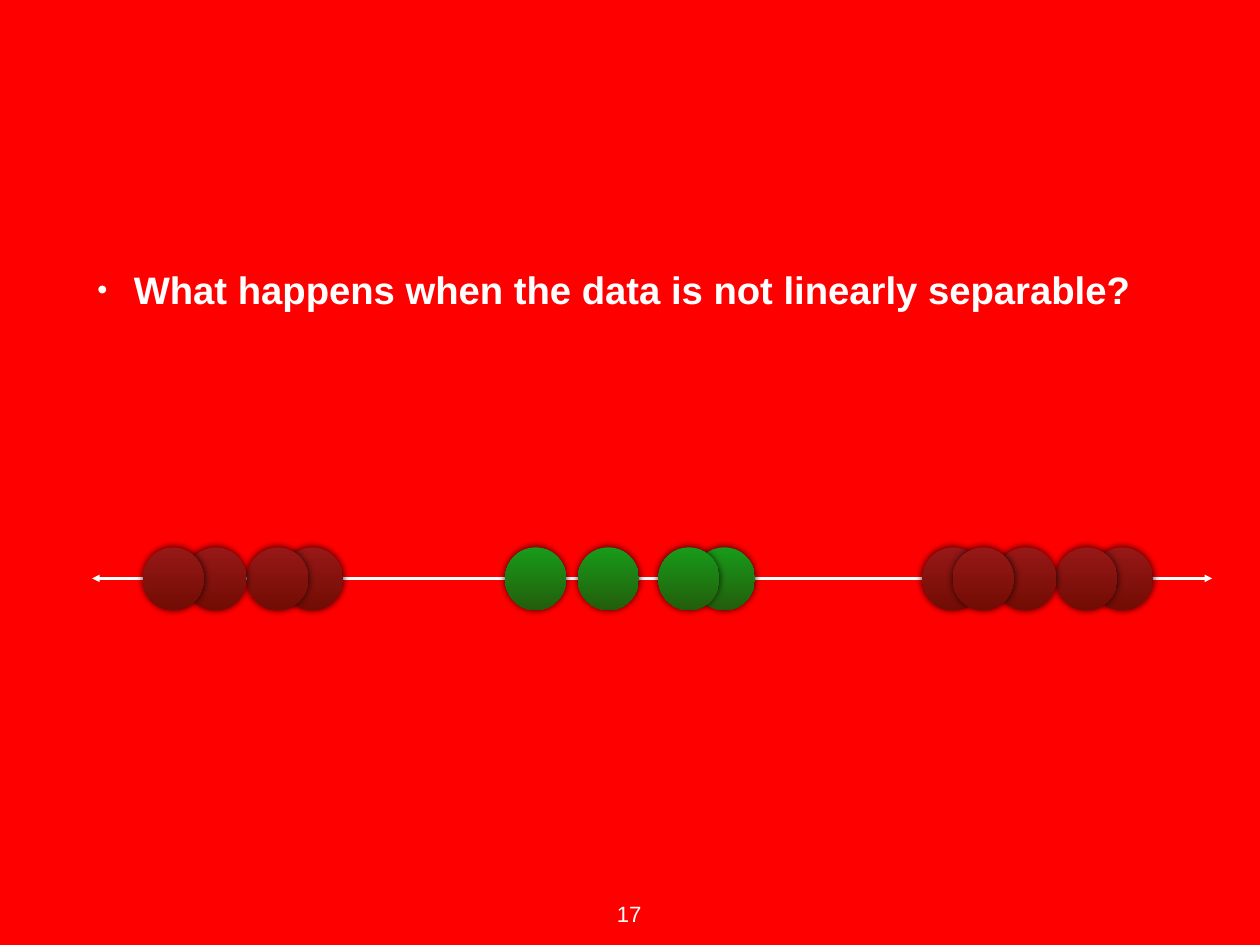
from lxml import etree
from pptx import Presentation
from pptx import util as u
from pptx.dml import color
from pptx.enum import shapes, text
from pptx.oxml import ns


def rgb(value):
    return color.RGBColor.from_string(value)


def add(parent, tag, **attrs):
    return etree.SubElement(parent, ns.qn(tag), attrs)


prs = Presentation()
prs.slide_width, prs.slide_height = u.Inches(14.22), u.Inches(10.67)
s = prs.slides.add_slide(prs.slide_layouts[1])
s.background.fill.solid()
s.background.fill.fore_color.rgb = rgb("FF0000")

title = s.shapes.title
title.element.getparent().remove(title.element)

body = s.placeholders[1]
body.left, body.top = u.Inches(1.04), u.Inches(2.83)
body.width, body.height = u.Inches(12.63), u.Inches(0.87)

axis = s.shapes.add_connector(shapes.MSO_CONNECTOR.STRAIGHT, u.Inches(1.04), u.Inches(6.53),
                              u.Inches(13.68), u.Inches(6.53))
axis.line.color.rgb = rgb("FFFFFF")
axis.line.width = u.Pt(2)
ln = axis.line._get_or_add_ln()
for end in ("a:headEnd", "a:tailEnd"):
    add(ln, end, type="triangle")
add(axis.element.spPr, "a:effectLst")

red, green = ("971817", "720C04"), ("189B1A", "235D0B")
groups = [
    (red, (3.18, 2.79, 2.09, 1.61)),
    (green, (7.83, 7.43, 6.52, 5.7)),
    (red, (10.41, 12.32, 11.92, 11.23, 10.75)),
]
for stops, lefts in groups:
    for left in lefts:
        sp = s.shapes.add_shape(shapes.MSO_SHAPE.OVAL, u.Inches(left), u.Inches(6.18),
                                u.Inches(0.69), u.Inches(0.71))
        sp.fill.gradient()
        sp.fill.gradient_angle = 270
        for stop, value in zip(sp.fill.gradient_stops, stops):
            stop.color.rgb = rgb(value)
        sp.line.fill.background()
        sp.shadow.inherit = False
        effects = sp.element.spPr.find(ns.qn("a:effectLst"))
        shadow = add(effects, "a:outerShdw", blurRad=str(u.Pt(6)), dist="0",
                     dir="18900000", rotWithShape="0")
        add(add(shadow, "a:srgbClr", val="000000"), "a:alpha", val="80000")

number = s.shapes.add_textbox(u.Inches(6.9), u.Inches(10.11), u.Inches(0.4), u.Inches(0.42))

pPr = body.text_frame.paragraphs[0]._p.get_or_add_pPr()
pPr.set("marL", str(u.Inches(0.41)))
pPr.set("indent", str(u.Inches(-0.41)))
add(pPr, "a:buSzPct", val="75000")
add(pPr, "a:buFont", typeface="Arial")
add(pPr, "a:buChar", char="•")

margins = dict.fromkeys(("margin_left", "margin_top", "margin_right", "margin_bottom"),
                        u.Inches(0.06))
texts = [
    (body, "What happens when the data is not linearly separable?",
     {"word_wrap": True, "auto_size": text.MSO_AUTO_SIZE.NONE,
      "vertical_anchor": text.MSO_ANCHOR.MIDDLE},
     {"alignment": text.PP_ALIGN.LEFT, "space_before": u.Pt(0)},
     {"size": u.Pt(31.1), "bold": True}),
    (number, "17",
     {"word_wrap": False, "auto_size": text.MSO_AUTO_SIZE.SHAPE_TO_FIT_TEXT,
      "vertical_anchor": text.MSO_ANCHOR.TOP},
     {"alignment": text.PP_ALIGN.CENTER},
     {"size": u.Pt(18), "bold": False}),
]
for sp, words, frame, para, font in texts:
    tf = sp.text_frame
    p = tf.paragraphs[0]
    r = p.add_run()
    r.text = words
    for obj, values in ((tf, {**margins, **frame}), (p, para), (r.font, {"name": "Arial", **font})):
        for key, value in values.items():
            setattr(obj, key, value)
    r.font.color.rgb = rgb("FFFFFF")

prs.save("out.pptx")
